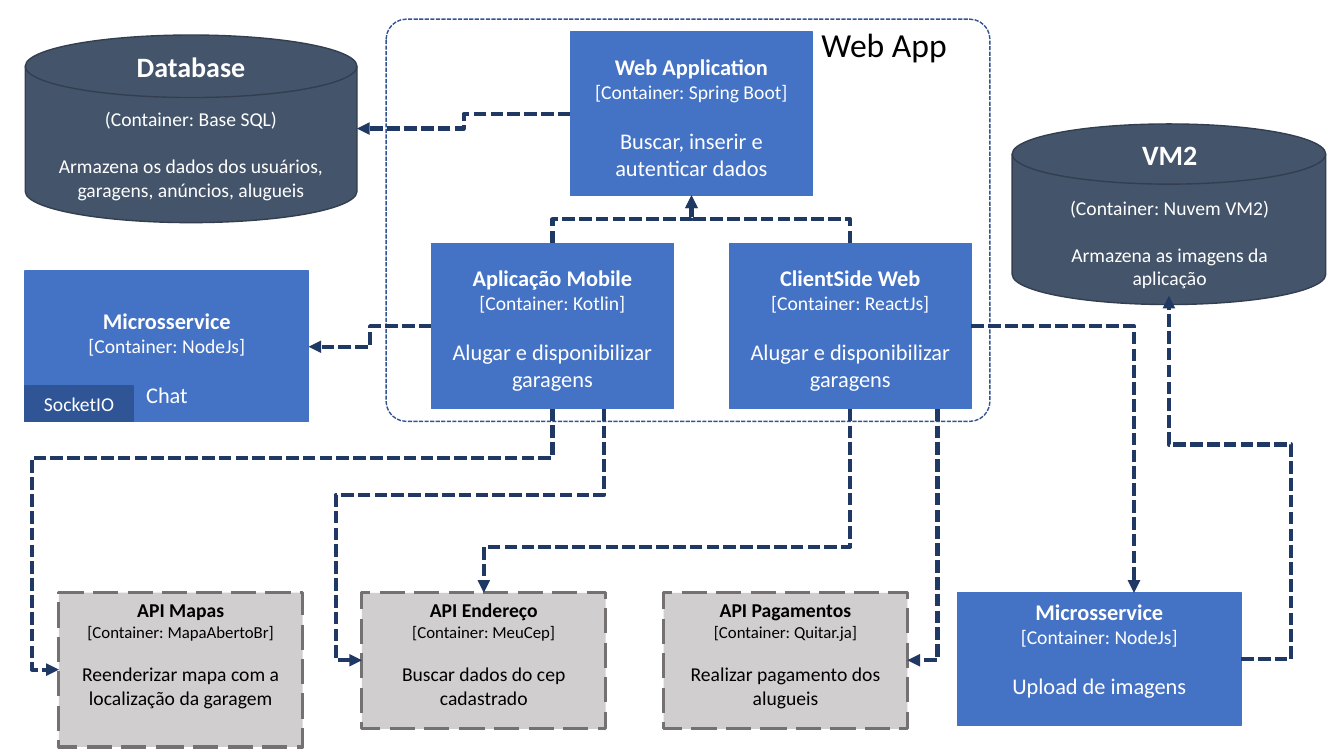
from lxml.etree import SubElement
from pptx import Presentation
from pptx.dml.color import RGBColor
from pptx.enum.dml import MSO_LINE
from pptx.enum.shapes import MSO_CONNECTOR, MSO_SHAPE
from pptx.enum.text import MSO_ANCHOR, PP_ALIGN
from pptx.oxml.ns import qn
from pptx.util import Pt

COLORS = {
    "container": "4472C4",
    "badge": "2F5597",
    "drum": "44546A",
    "drum_edge": "333F50",
    "api": "D0CECE",
    "api_edge": "767171",
    "frame": "325491",
    "route": "203864",
    "white": "FFFFFF",
    "black": "000000",
}
LINE_HEIGHT = 1.22
X, Y = 0, 1


def rgb(name):
    return RGBColor.from_string(COLORS[name])


def block(slide, preset, box, fill, edge, width=1, dash=None):
    shape = slide.shapes.add_shape(preset, *map(Pt, box))
    shape.shadow.inherit = False
    if fill:
        shape.fill.solid()
        shape.fill.fore_color.rgb = rgb(fill)
    else:
        shape.fill.background()
    shape.line.color.rgb = rgb(edge)
    shape.line.width = Pt(width)
    if dash:
        shape.line.dash_style = dash
    return shape


def write(shape, lines, color, top=3.6, anchor=MSO_ANCHOR.TOP, align=PP_ALIGN.CENTER):
    """Fill a shape with lines of (text, size, bold, space before)."""
    frame = shape.text_frame
    frame.word_wrap = True
    frame.vertical_anchor = anchor
    frame.margin_top = Pt(top)
    for index, (text, size, bold, gap) in enumerate(lines):
        line = frame.add_paragraph() if index else frame.paragraphs[0]
        line.text = text
        line.alignment = align
        line.space_before = Pt(gap)
        line.font.name = "Calibri"
        line.font.size = Pt(size)
        line.font.bold = bold
        line.font.color.rgb = rgb(color)


def description(title, container, purpose, size):
    """Bold title, smaller container line, then the purpose one line lower."""
    small = size - 2
    return [
        (title, size, True, 0),
        (f"[Container: {container}]", small, False, 0),
        (purpose, size, False, small * LINE_HEIGHT),
    ]


def container(slide, box, title, technology, purpose, top=3.6):
    shape = block(slide, MSO_SHAPE.RECTANGLE, box, "container", "container")
    write(shape, description(title, technology, purpose, 16), "white", top)


def api(slide, box, title, provider, purpose):
    shape = block(slide, MSO_SHAPE.RECTANGLE, box, "api", "api_edge", 2.25, MSO_LINE.LONG_DASH)
    write(shape, description(title, provider, purpose, 14), "black")


def storage(slide, box, label_box, title, technology, purpose):
    """Upright cylinder: a drum turned a quarter around the centre of box."""
    left, top, width, height = box
    shift = (width - height) / 2
    drum = block(slide, MSO_SHAPE.FLOWCHART_DIRECT_ACCESS_STORAGE,
                 (left + shift, top - shift, height, width), "drum", "drum_edge")
    drum.rotation = 270
    gap = 14 * LINE_HEIGHT
    label = slide.shapes.add_textbox(*map(Pt, label_box))
    write(label, [
        (title, 20, True, 0),
        (f"(Container: {technology})", 14, False, gap),
        (purpose, 14, False, gap),
    ], "white")


def route(slide, start, end, axis, *bends):
    """Elbow arrow leaving along axis; bends are the coordinates, on alternating axes, where it turns."""
    dx, dy = end[X] - start[X], end[Y] - start[Y]
    if axis == X:
        turn, run, rise = 0, dx, dy
    elif dy > 0:
        turn, run, rise = 90, dy, -dx
    else:
        turn, run, rise = 270, -dy, dx
    mid_x, mid_y = (start[X] + end[X]) / 2, (start[Y] + end[Y]) / 2
    arrow = slide.shapes.add_connector(
        MSO_CONNECTOR.ELBOW,
        Pt(mid_x - run / 2), Pt(mid_y - rise / 2),
        Pt(mid_x + run / 2), Pt(mid_y + rise / 2))
    arrow.line.color.rgb = rgb("route")
    arrow.line.width = Pt(3)
    arrow.line.dash_style = MSO_LINE.SQUARE_DOT

    properties = arrow._element.spPr
    if turn:
        properties.find(qn("a:xfrm")).set("rot", str(turn * 60000))
    geometry = properties.find(qn("a:prstGeom"))
    geometry.set("prst", f"bentConnector{len(bends) + 2}")
    guides = geometry.find(qn("a:avLst"))
    if guides is None:
        guides = SubElement(geometry, qn("a:avLst"))
    for index, bend in enumerate(bends):
        side = (axis + index) % 2
        share = (bend - start[side]) / (end[side] - start[side])
        SubElement(guides, qn("a:gd"), name=f"adj{index + 1}", fmla=f"val {round(share * 100000)}")
    SubElement(properties.find(qn("a:ln")), qn("a:tailEnd"), type="triangle")
    SubElement(properties, qn("a:effectLst"))


def main():
    deck = Presentation()
    deck.slide_width, deck.slide_height = Pt(960), Pt(540)
    slide = deck.slides.add_slide(deck.slide_layouts[6])

    web_app = block(slide, MSO_SHAPE.ROUNDED_RECTANGLE, (275.8, 13.7, 431.3, 287.3),
                    None, "frame", 1, MSO_LINE.SQUARE_DOT)
    web_app.adjustments[0] = 0.05
    web_app_label = slide.shapes.add_textbox(Pt(579.6), Pt(13.7), Pt(118.8), Pt(36))
    write(web_app_label, [("Web App", 24, False, 0)], "black", align=PP_ALIGN.LEFT)

    container(slide, (407.5, 23, 172.8, 116.6), "Web Application", "Spring Boot",
              "Buscar, inserir e autenticar dados", 15)
    for left, title, technology in ((521, "ClientSide Web", "ReactJs"),
                                    (308.2, "Aplicação Mobile", "Kotlin")):
        container(slide, (left, 173.8, 172.8, 118.1), title, technology,
                  "Alugar e disponibilizar garagens", 15)
    container(slide, (18, 193.7, 202.5, 107.3), "Microsservice", "NodeJs", "Chat", 25.6)
    container(slide, (684, 423.4, 202.5, 95), "Microsservice", "NodeJs", "Upload de imagens")
    socket = block(slide, MSO_SHAPE.RECTANGLE, (18, 275.8, 77, 25.2), "badge", "badge")
    write(socket, [("SocketIO", 14, False, 0)], "white", anchor=MSO_ANCHOR.MIDDLE)

    storage(slide, (18, 25, 237, 134), (26, 31.7, 221, 116), "Database", "Base SQL",
            "Armazena os dados dos usuários, garagens, anúncios, alugueis")
    storage(slide, (723, 88.5, 224, 129), (731, 95, 209, 116), "VM2", "Nuvem VM2",
            "Armazena as imagens da aplicação")

    for left, height, title, provider, purpose in (
        (42, 110.2, "API Mapas", "MapaAbertoBr", "Reenderizar mapa com a localização da garagem"),
        (258.5, 97.2, "API Endereço", "MeuCep", "Buscar dados do cep cadastrado"),
        (474, 97.2, "API Pagamentos", "Quitar.ja", "Realizar pagamento dos alugueis"),
    ):
        api(slide, (left, 423.4, 174.2, height), title, provider, purpose)

    mobile_x, client_x, web_x = 394.6, 607.4, 493.9
    bottom = 291.9
    route(slide, (407.5, 81.4), (255, 91.8), X, 331.2)
    route(slide, (mobile_x, 173.8), (web_x, 139.6), Y, 156.7)
    route(slide, (client_x, 173.8), (web_x, 139.6), Y, 156.7)
    route(slide, (308.2, 233), (220.5, 247.7), X, 264.4)
    route(slide, (693.8, 233), (810, 423.4), X)
    route(slide, (886.5, 471), (835, 211.3), X, 922.3, 317.5)
    route(slide, (mobile_x, bottom), (42, 478.3), Y, 327, 23)
    route(slide, (431.3, bottom), (258.5, 471.6), Y, 353.5, 239.8)
    route(slide, (client_x, bottom), (345.6, 423.4), Y, 390.5)
    route(slide, (669.6, bottom), (648.2, 471.6), Y)

    deck.save("out.pptx")


if __name__ == "__main__":
    main()
